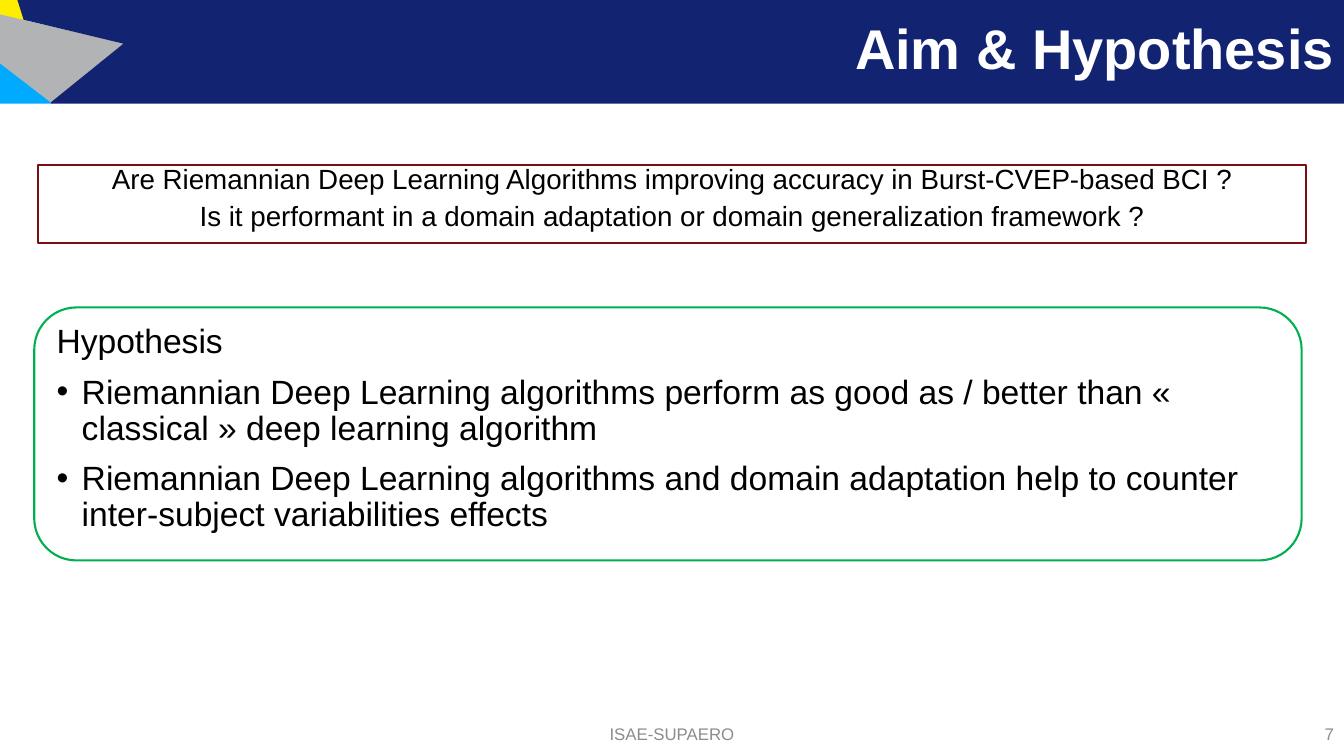
from lxml import etree
from pptx import Presentation
from pptx.dml.color import RGBColor
from pptx.enum import shapes, text
from pptx.oxml import ns
from pptx.util import Inches, Pt

WIDTH, HEIGHT = 13.33, 7.5
HEADER = 1.02
FONT = "Arial"
COLORS = {
    "navy": "122372", "yellow": "FFED00", "sky": "00ABFF", "silver": "B1B3B4",
    "white": "FFFFFF", "black": "000000", "grey": "8C8C8C",
    "maroon": "790F14", "green": "00B050",
}
FACETS = [
    ("yellow", [(0, 0), (0, 0.2), (0.28, 0.28), (0.22, 0)]),
    ("sky", [(0, 0.6), (0, HEADER), (0.51, HEADER)]),
    ("silver", [(0, 0.15), (0, 0.62), (0.52, HEADER), (1.23, 0.44)]),
    ("navy", [(0.51, HEADER), (1.24, 0.43), (0.24, 0.19), (0.18, 0),
              (WIDTH, 0), (WIDTH, HEADER)]),
]
QUESTIONS = [
    "Are Riemannian Deep Learning Algorithms improving accuracy in Burst-CVEP-based BCI ?",
    "Is it performant in a domain adaptation or domain generalization framework ?",
]
HYPOTHESES = [
    "Riemannian Deep Learning algorithms perform as good as / better than "
    "« classical » deep learning algorithm",
    "Riemannian Deep Learning algorithms and domain adaptation help to counter "
    "inter-subject variabilities effects",
]


def color(name):
    return RGBColor.from_string(COLORS[name])


def place(shape, box):
    shape.left, shape.top, shape.width, shape.height = map(Inches, box)


def outline(shape, name, width):
    shape.line.color.rgb = color(name)
    shape.line.width = Pt(width)


def set_bullet(para, mark=None):
    """Give the paragraph a hanging bullet, or none at all."""
    props = para._p.get_or_add_pPr()
    indent = Inches(0.25) if mark else 0
    props.set("marL", str(indent))
    props.set("indent", str(-indent))
    if mark:
        font = etree.SubElement(props, ns.qn("a:buFont"))
        font.set("typeface", FONT)
        etree.SubElement(props, ns.qn("a:buChar")).set("char", mark)
    else:
        etree.SubElement(props, ns.qn("a:buNone"))


def write(shape, lines, size, ink, align, anchor, spacing=1.0, gap=0, marks=None, bold=False):
    frame = shape.text_frame
    frame.word_wrap = True
    frame.auto_size = text.MSO_AUTO_SIZE.NONE
    frame.vertical_anchor = anchor
    frame.text = "\n".join(lines)
    for index, para in enumerate(frame.paragraphs):
        set_bullet(para, marks[index] if marks else None)
        para.alignment = align
        para.line_spacing = spacing
        para.space_before = Pt(gap if index else 0)
        para.font.name = FONT
        para.font.size = Pt(size)
        para.font.bold = bold
        para.font.color.rgb = color(ink)


def add_header(page, box):
    title = page.shapes.title
    # Coloured facets, kept behind the title
    for name, points in FACETS:
        corners = [(Inches(x), Inches(y)) for x, y in points]
        builder = page.shapes.build_freeform(*corners[0])
        builder.add_line_segments(corners[1:], close=True)
        facet = builder.convert_to_shape()
        facet.shadow.inherit = False
        facet.fill.solid()
        facet.fill.fore_color.rgb = color(name)
        outline(facet, name, 1)
        title.element.addprevious(facet.element)
    place(title, box)
    write(title, ["Aim & Hypothesis"], 40, "white", text.PP_ALIGN.RIGHT,
          text.MSO_ANCHOR.MIDDLE, spacing=0.9, bold=True)


def add_questions(page, box):
    body = page.placeholders[1]
    place(body, box)
    outline(body, "maroon", 1.5)
    write(body, QUESTIONS, 19.8, "black", text.PP_ALIGN.CENTER,
          text.MSO_ANCHOR.TOP, spacing=0.7, gap=10)


def add_hypotheses(page, box):
    panel = page.shapes.add_shape(shapes.MSO_SHAPE.ROUNDED_RECTANGLE, *map(Inches, box))
    panel.shadow.inherit = False
    panel.fill.background()
    outline(panel, "green", 1.5)
    write(panel, ["Hypothesis"] + HYPOTHESES, 24, "black", text.PP_ALIGN.LEFT,
          text.MSO_ANCHOR.TOP, spacing=0.9, gap=10, marks=[None, "•", "•"])


def add_footer(page, box):
    left, top, width, height = box
    middle, corner = 4.5, 3
    parts = [
        ("ISAE-SUPAERO", left + (width - middle) / 2, middle, text.PP_ALIGN.CENTER),
        ("7", left + width - corner, corner, text.PP_ALIGN.RIGHT),
    ]
    for label, x, span, align in parts:
        note = page.shapes.add_textbox(*map(Inches, (x, top, span, height)))
        write(note, [label], 12, "grey", align, text.MSO_ANCHOR.MIDDLE)


def main():
    deck = Presentation()
    deck.slide_width, deck.slide_height = Inches(WIDTH), Inches(HEIGHT)
    page = deck.slides.add_slide(deck.slide_layouts[1])
    add_header(page, (0.72, 0, WIDTH - 0.72, HEADER))
    add_questions(page, (0.38, 1.64, 12.57, 0.77))
    add_footer(page, (0, 7.08, WIDTH, 0.4))
    add_hypotheses(page, (0.34, 3.05, 12.57, 2.51))
    deck.save("out.pptx")


if __name__ == "__main__":
    main()
